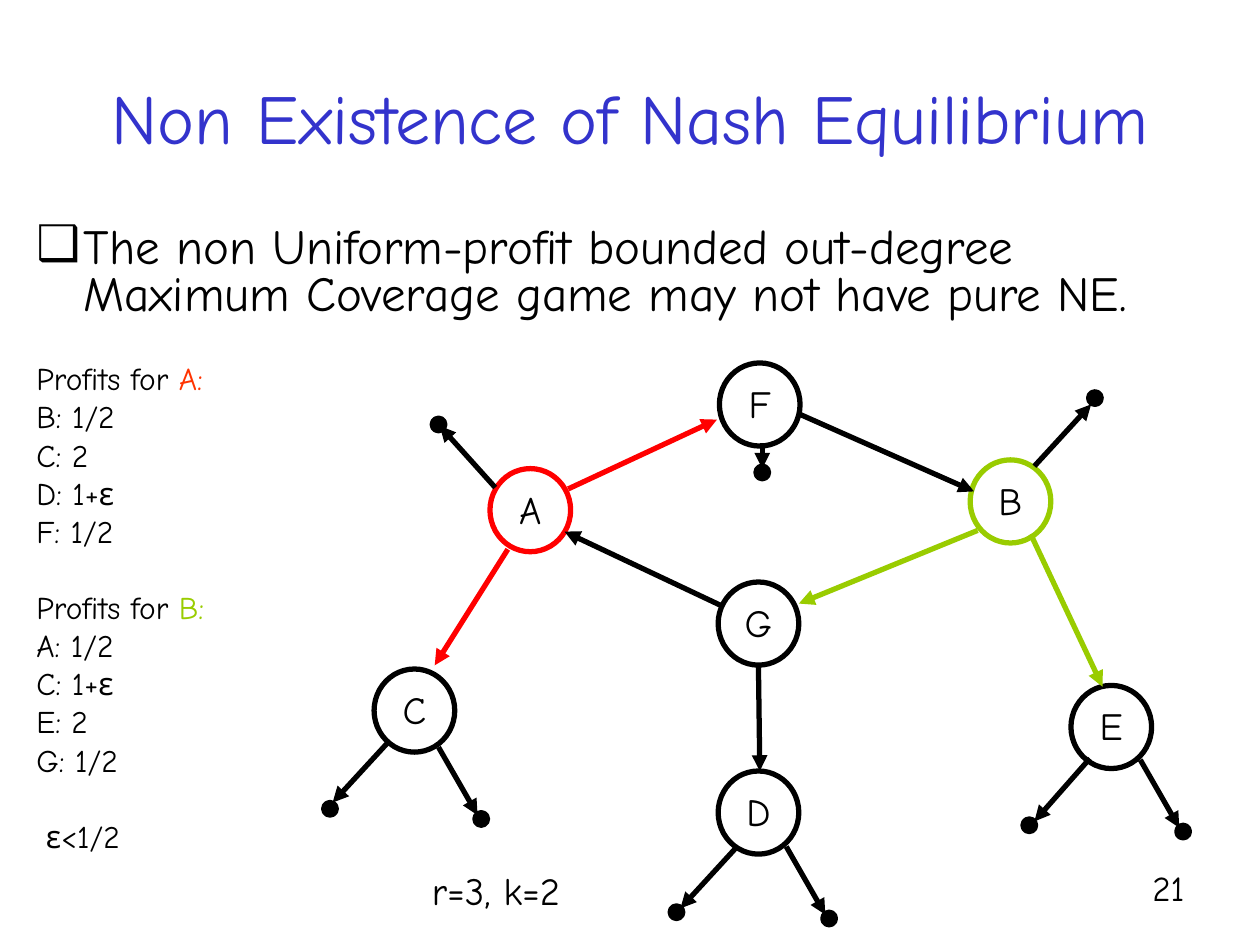
import pptx
import pptx.util
import pptx.dml.color
import pptx.enum.shapes
import pptx.enum.text
import pptx.oxml.ns
import lxml.etree

Pt = pptx.util.Pt
ALIGN = pptx.enum.text.PP_ALIGN

THEME = {
    "font": "Comic Neue",
    "black": "000000", "blue": "3333CC", "orange": "FF3300", "red": "FF0000", "green": "99CC00",
    "title": 40, "statement": 28, "label": 22, "number": 20, "list": 18,
    "stroke": 3,
}

TITLE = "Non Existence of Nash Equilibrium"
STATEMENT = "The non Uniform-profit bounded out-degree Maximum Coverage game may not have pure NE."
PROFITS = [
    ("A:", "orange", ["B: 1/2", "C: 2", "D: 1+ε", "F: 1/2"]),
    ("B:", "green", ["A: 1/2", "C: 1+ε", "E: 2", "G: 1/2"]),
]
CONDITION = "ε<1/2"
PARAMETERS = "r=3, k=2"
SLIDE_NUMBER = "21"

NODES = [
    ("A", 280, 267.8, "red"),
    ("B", 554.4, 262.8, "green"),
    ("C", 213.8, 382.3, "black"),
    ("D", 410.4, 440.6, "black"),
    ("E", 612, 391.7, "black"),
    ("F", 411.1, 207.4, "black"),
    ("G", 410.4, 332.6, "black"),
]
NODE_SIZE = (46.1, 47.5)
LABEL_OFFSET = (5.3, 6.2)
LABEL_SIZE = (35.3, 33.8)

ARROWS = [
    (591.1, 266.4, 623.5, 231.1, "black"),
    (421.2, 483.8, 388.8, 519.1, "black"),
    (222.5, 423.4, 190.1, 458.6, "black"),
    (622.8, 433.4, 591.1, 469.4, "black"),
    (250.6, 427, 272.9, 465.8, "black"),
    (449.3, 483.8, 471.6, 522.7, "black"),
    (651.6, 434.2, 673.9, 473, "black"),
    (283, 278.6, 251.3, 243.4, "black"),
    (435.6, 253.4, 435.6, 267.8, "black"),
    (455.8, 236.2, 556.6, 280.8, "black"),
    (412.6, 346.3, 322.6, 303.8, "black"),
    (433.4, 380.2, 434.2, 440.6, "black"),
    (589, 305.3, 630, 392.4, "green"),
    (558.7, 303.1, 456.5, 344.9, "green"),
    (290.2, 313.9, 248.4, 380.2, "red"),
    (324.7, 279.4, 409.7, 239.8, "red"),
]
DOTS = [
    (622.1, 223.9), (383, 517.7), (185, 458.6), (584.6, 468), (271.4, 464.4),
    (470.2, 521.3), (672.5, 471.6), (247, 239), (432, 266.4),
]
DOT_SIZE = (7.2, 7.2)


def color(name):
    return pptx.dml.color.RGBColor.from_string(THEME[name])


def write_text(frame, text, size, tint="black", align=ALIGN.LEFT, before=0, spacing=None,
               margin=0, indent=0, bullet=None, tail=None, tail_tint="black", new=False):
    para = frame.add_paragraph() if new else frame.paragraphs[0]
    properties = para._p.get_or_add_pPr()
    properties.set("marL", str(Pt(margin)))
    properties.set("indent", str(Pt(indent)))
    if bullet:
        face = lxml.etree.SubElement(properties, pptx.oxml.ns.qn("a:buFont"))
        face.set("typeface", THEME["font"])
        mark = lxml.etree.SubElement(properties, pptx.oxml.ns.qn("a:buChar"))
        mark.set("char", bullet)
    para.alignment = align
    para.space_before = Pt(before)
    if spacing:
        para.line_spacing = spacing
    for words, shade in ((text, tint), (tail, tail_tint)):
        if words:
            span = para.add_run()
            span.text = words
            span.font.name = THEME["font"]
            span.font.size = Pt(THEME[size])
            span.font.color.rgb = color(shade)


def add_box(page, left, top, width, height):
    box = page.shapes.add_textbox(Pt(left), Pt(top), Pt(width), Pt(height))
    box.text_frame.word_wrap = True
    return box.text_frame


def add_circle(page, left, top, size, outline, filled=False):
    circle = page.shapes.add_shape(pptx.enum.shapes.MSO_SHAPE.OVAL,
                                   Pt(left), Pt(top), Pt(size[0]), Pt(size[1]))
    circle.shadow.inherit = False
    if filled:
        circle.fill.solid()
        circle.fill.fore_color.rgb = color(outline)
    else:
        circle.fill.background()
    circle.line.color.rgb = color(outline)
    circle.line.width = Pt(THEME["stroke"])


def add_arrow(page, start_x, start_y, end_x, end_y, tint):
    arrow = page.shapes.add_connector(pptx.enum.shapes.MSO_CONNECTOR.STRAIGHT,
                                      Pt(start_x), Pt(start_y), Pt(end_x), Pt(end_y))
    arrow.line.color.rgb = color(tint)
    arrow.line.width = Pt(THEME["stroke"])
    head = lxml.etree.SubElement(arrow.line._get_or_add_ln(), pptx.oxml.ns.qn("a:tailEnd"))
    head.set("type", "triangle")
    lxml.etree.SubElement(arrow._element.spPr, pptx.oxml.ns.qn("a:effectLst"))


def add_statement_and_profits(page):
    frame = add_box(page, 13.7, 126, 692, 396)
    hanging = {"margin": 27, "indent": -27, "spacing": 0.8}
    row_gap, group_gap = 4.5, 26.2
    write_text(frame, STATEMENT, "statement", bullet="❑", **hanging)
    for player, tint, rows in PROFITS:
        write_text(frame, "Profits for ", "list", tail=player, tail_tint=tint,
                   before=group_gap, new=True, **hanging)
        for row in rows:
            write_text(frame, row, "list", before=row_gap, new=True, **hanging)
    write_text(frame, CONDITION, "list", before=group_gap, new=True,
               **{**hanging, "indent": -21.5})


def main():
    deck = pptx.Presentation()
    deck.slide_width, deck.slide_height = Pt(720), Pt(540)
    page = deck.slides.add_slide(deck.slide_layouts[5])

    title = page.shapes.title
    title.left, title.top, title.width, title.height = Pt(0), Pt(21.6), Pt(720), Pt(90)
    title.text_frame.vertical_anchor = pptx.enum.text.MSO_ANCHOR.MIDDLE
    write_text(title.text_frame, TITLE, "title", tint="blue", align=ALIGN.CENTER)

    add_statement_and_profits(page)
    for name, left, top, tint in NODES:
        add_circle(page, left, top, NODE_SIZE, tint)
        label = add_box(page, left + LABEL_OFFSET[0], top + LABEL_OFFSET[1], *LABEL_SIZE)
        write_text(label, name, "label", align=ALIGN.CENTER)
    for arrow in ARROWS:
        add_arrow(page, *arrow)
    for left, top in DOTS:
        add_circle(page, left, top, DOT_SIZE, "black", filled=True)

    write_text(add_box(page, 233.4, 491.8, 100, 33.8), PARAMETERS, "label", align=ALIGN.CENTER)
    write_text(add_box(page, 516.2, 491.8, 167.8, 37.4), SLIDE_NUMBER, "number",
               align=ALIGN.RIGHT)
    deck.save("out.pptx")


if __name__ == "__main__":
    main()
